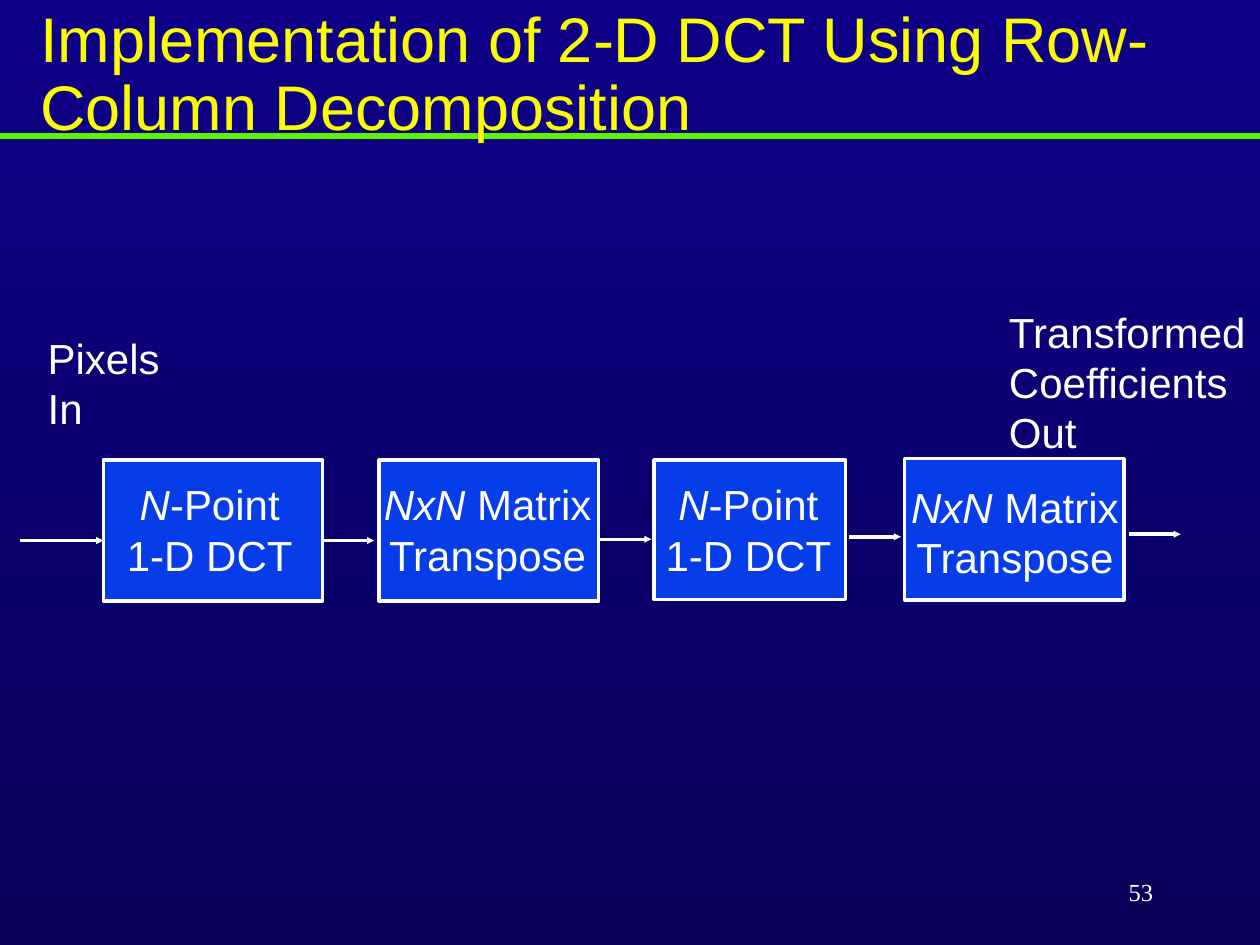
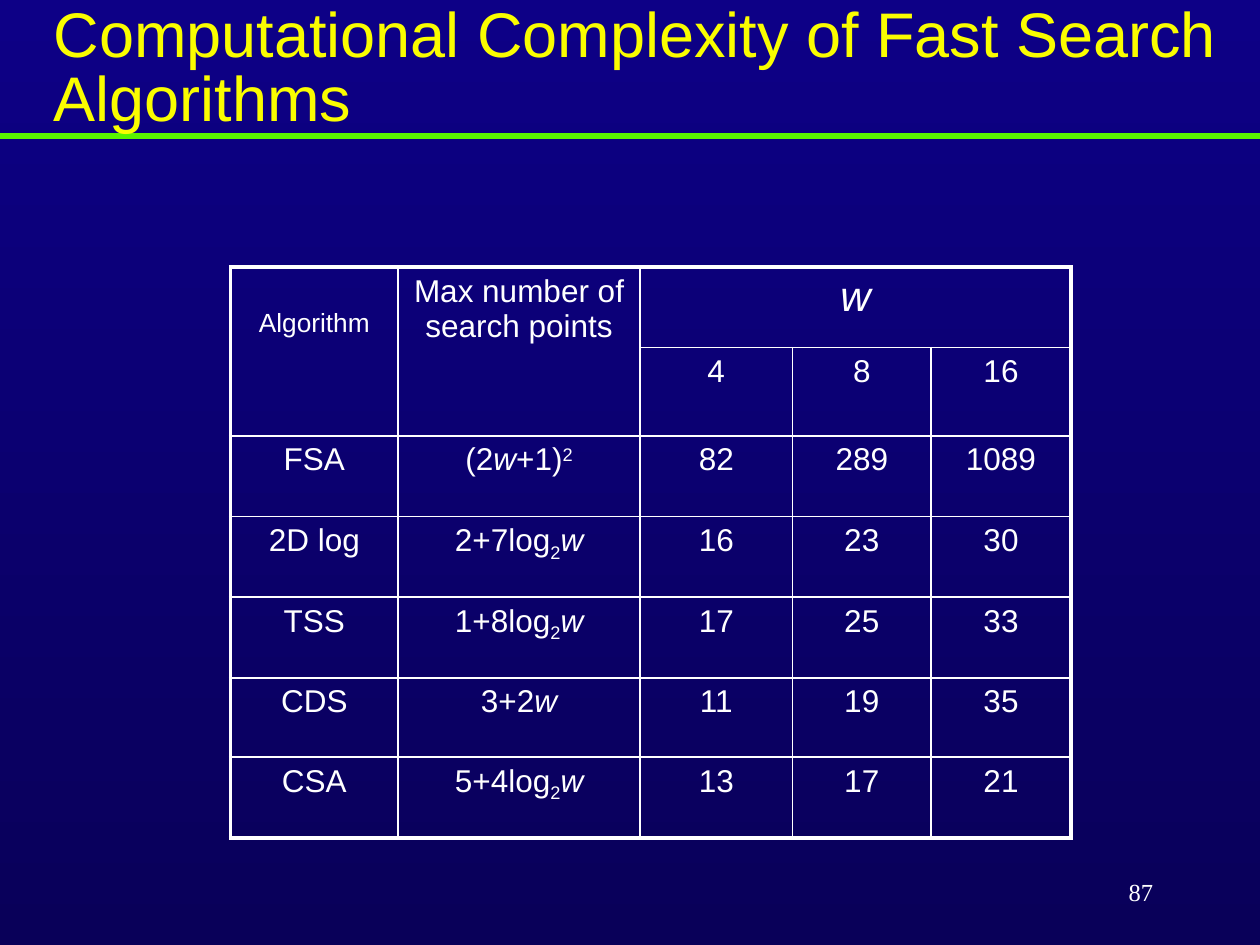
from lxml import etree
from pptx import Presentation
from pptx.dml.color import RGBColor
from pptx.enum.shapes import MSO_CONNECTOR, MSO_SHAPE
from pptx.enum.text import MSO_ANCHOR, PP_ALIGN
from pptx.oxml import parse_xml
from pptx.oxml.ns import nsdecls, qn
from pptx.util import Inches, Pt

NAVY_TOP = RGBColor(0x0D, 0x00, 0x86)
NAVY_BOTTOM = RGBColor(0x09, 0x00, 0x59)
GREEN = RGBColor(0x5A, 0xF4, 0x00)
YELLOW = RGBColor(0xFA, 0xFD, 0x00)
BLUE = RGBColor(0x06, 0x3D, 0xE8)
WHITE = RGBColor(0xFF, 0xFF, 0xFF)
SANS, SERIF = "Arial", "Times New Roman"

# Run styles: a run is plain text or a (text, style) pair
ITALIC, SUPER, SUB = "italic", "30000", "-25000"
W = ("w", ITALIC)
LOG2_W = [("2", SUB), W]


def write_paragraph(paragraph, runs, size, color=WHITE, name=SANS, align=PP_ALIGN.LEFT):
    paragraph.alignment = align
    font = paragraph.font
    font.name, font.size, font.color.rgb = name, Pt(size), color
    for item in [runs] if isinstance(runs, str) else runs:
        text, style = (item, None) if isinstance(item, str) else item
        run = paragraph.add_run()
        run.text = text
        if style == ITALIC:
            run.font.italic = True
        elif style:
            run._r.get_or_add_rPr().set("baseline", style)


def add_text(slide, box, lines, size, wrap=True, anchor=MSO_ANCHOR.TOP,
             line_spacing=None, **style):
    frame = slide.shapes.add_textbox(*map(Inches, box)).text_frame
    frame.word_wrap = wrap
    frame.vertical_anchor = anchor
    for index, line in enumerate(lines):
        paragraph = frame.add_paragraph() if index else frame.paragraphs[0]
        if line_spacing:
            paragraph.line_spacing = line_spacing
        write_paragraph(paragraph, line, size, **style)


def add_line(slide, start, end, color, width, arrow=False):
    line = slide.shapes.add_connector(MSO_CONNECTOR.STRAIGHT, *map(Inches, start + end))
    line.line.color.rgb = color
    line.line.width = Pt(width)
    if arrow:
        etree.SubElement(line.line._get_or_add_ln(), qn("a:tailEnd"),
                         type="triangle", w="sm", len="sm")
    etree.SubElement(line._element.spPr, qn("a:effectLst"))


def add_base_slide(presentation, title, title_box, number, line_spacing, anchor):
    """Background, rule, title and page number shared by the slides."""
    slide = presentation.slides.add_slide(presentation.slide_layouts[6])
    fill = slide.background.fill
    fill.gradient()
    fill.gradient_angle = 270
    for stop, color, position in zip(fill.gradient_stops, (NAVY_TOP, NAVY_BOTTOM), (0, 1)):
        stop.color.rgb = color
        stop.position = position
    add_line(slide, (0, 1.08), (10, 1.08), GREEN, 3)
    add_text(slide, title_box, [title], 36, color=YELLOW,
             line_spacing=line_spacing, anchor=anchor)
    add_text(slide, (7.17, 6.83, 2.08, 0.5), [str(number)], 14, wrap=False,
             anchor=MSO_ANCHOR.MIDDLE, name=SERIF, align=PP_ALIGN.RIGHT)
    return slide


def add_stage(slide, box, label_box, lines, wrap=True):
    """One processing block; label_box is (dx, dy, width, height) from its corner."""
    stage = slide.shapes.add_shape(MSO_SHAPE.RECTANGLE, *map(Inches, box))
    stage.shadow.inherit = False
    stage.fill.solid()
    stage.fill.fore_color.rgb = BLUE
    stage.line.color.rgb = WHITE
    stage.line.width = Pt(2)
    dx, dy, width, height = label_box
    add_text(slide, (box[0] + dx, box[1] + dy, width, height), lines, 24,
             wrap=wrap, align=PP_ALIGN.CENTER)


def add_pipeline(slide):
    dct = [[("N", ITALIC), "-Point"], "1-D DCT"]
    transpose = [[("NxN", ITALIC), " Matrix"], "Transpose"]
    add_stage(slide, (0.82, 3.65, 1.74, 1.12), (0.03, 0.1, 1.63, 0.91), dct)
    add_stage(slide, (3.01, 3.65, 1.74, 1.12), (-0.09, 0.1, 1.9, 0.91), transpose)
    add_stage(slide, (5.19, 3.65, 1.52, 1.11), (-0.2, 0.1, 1.9, 0.91), dct)
    add_stage(slide, (7.18, 3.64, 1.74, 1.12), (-0.06, 0.13, 1.87, 0.91), transpose, wrap=False)

    # Arrows between the stages: left, y, length
    for left, y, length in ((0.16, 4.29, 0.66), (2.56, 4.29, 0.41), (4.76, 4.28, 0.41),
                            (6.74, 4.26, 0.41), (8.96, 4.24, 0.41)):
        add_line(slide, (left, y), (left + length, y), WHITE, 2, arrow=True)

    # Input and output labels
    add_text(slide, (0.28, 2.59, 1.1, 0.91), ["Pixels", "In"], 24, wrap=False)
    add_text(slide, (7.91, 2.38, 2.1, 1.31), ["Transformed", "Coefficients", "Out"], 24,
             wrap=False)


def set_borders(cell, widths):
    """Widths in points: left, right, top, bottom."""
    properties = cell._tc.get_or_add_tcPr()
    for index, (side, width) in enumerate(zip("LRTB", widths)):
        properties.insert(index, parse_xml(
            f'<a:ln{side} {nsdecls("a")} w="{Pt(width)}"><a:solidFill>'
            f'<a:srgbClr val="{WHITE}"/></a:solidFill></a:ln{side}>'))


def add_complexity_table(slide, left, top):
    column_widths = [1.33, 1.92, 1.21, 1.1, 1.11]
    row_heights = [0.64, 0.63, 0.64, 0.64, 0.64, 0.63, 0.64]
    rows = [
        ["Algorithm", "Max number of search points", [W], "", ""],
        ["", "", "4", "8", "16"],
        ["FSA", ["(2", W, "+1)", ("2", SUPER)], "82", "289", "1089"],
        ["2D log", ["2+7log", *LOG2_W], "16", "23", "30"],
        ["TSS", ["1+8log", *LOG2_W], "17", "25", "33"],
        ["CDS", ["3+2", W], "11", "19", "35"],
        ["CSA", ["5+4log", *LOG2_W], "13", "17", "21"],
    ]
    special_sizes = {(0, 0): 15, (0, 2): 24}
    row_count, column_count = len(rows), len(column_widths)
    table = slide.shapes.add_table(
        row_count, column_count, Inches(left), Inches(top),
        Inches(sum(column_widths)), Inches(sum(row_heights))).table
    table.first_row = table.horz_banding = False
    for column, width in zip(table.columns, column_widths):
        column.width = Inches(width)
    for row, height in zip(table.rows, row_heights):
        row.height = Inches(height)

    # Header spans
    table.cell(0, 0).merge(table.cell(1, 0))
    table.cell(0, 1).merge(table.cell(1, 1))
    table.cell(0, 2).merge(table.cell(0, 4))
    table.cell(0, 0).margin_top = Inches(0.33)

    for r, row in enumerate(rows):
        for c, runs in enumerate(row):
            cell = table.cell(r, c)
            cell.fill.background()
            if cell.is_spanned:
                continue
            write_paragraph(cell.text_frame.paragraphs[0], runs,
                            special_sizes.get((r, c), 18), align=PP_ALIGN.CENTER)
            right = c + (cell.span_width if cell.is_merge_origin else 1)
            bottom = r + (cell.span_height if cell.is_merge_origin else 1)
            on_edge = (c == 0, right == column_count, r == 0, bottom == row_count)
            set_borders(cell, [2.25 if outer else 1 for outer in on_edge])


def main():
    presentation = Presentation()
    presentation.slide_width = Inches(10)
    presentation.slide_height = Inches(7.5)

    slide = add_base_slide(
        presentation, "Implementation of 2-D DCT Using Row-Column Decomposition",
        (0.22, 0.27, 9.55, 0.67), 53, 0.9, MSO_ANCHOR.MIDDLE)
    add_pipeline(slide)

    slide = add_base_slide(
        presentation, "Computational Complexity of Fast Search Algorithms",
        (0.33, 0, 9.67, 1.12), 87, 0.85, MSO_ANCHOR.TOP)
    add_complexity_table(slide, 1.83, 2.12)

    presentation.save("out.pptx")


if __name__ == "__main__":
    main()
